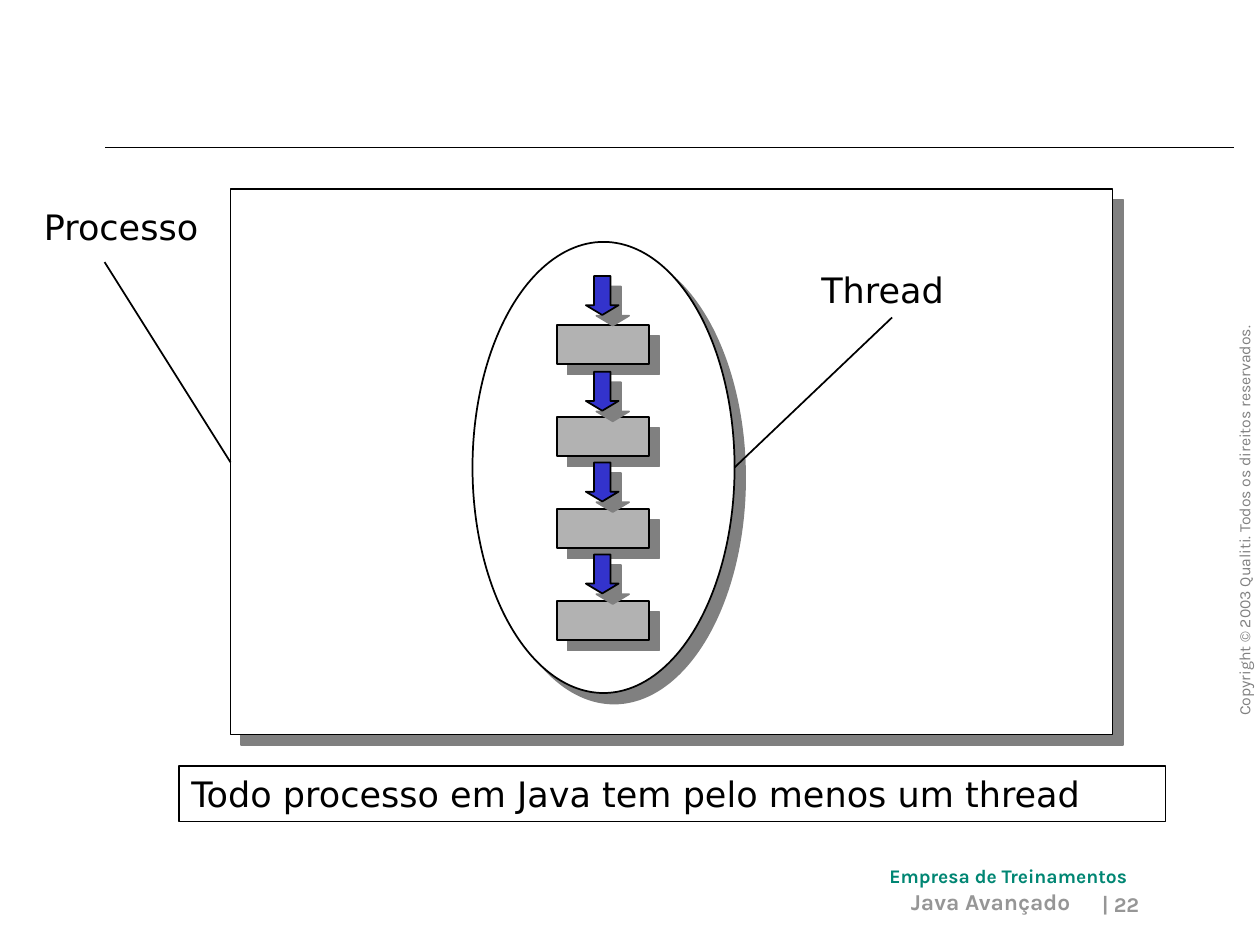
from dataclasses import dataclass

from lxml.etree import SubElement
from pptx import Presentation
from pptx.dml.color import RGBColor
from pptx.enum.shapes import MSO_CONNECTOR, MSO_SHAPE
from pptx.enum.text import MSO_ANCHOR, PP_ALIGN
from pptx.oxml.ns import qn
from pptx.util import Inches, Pt

COLUMNS, ROWS = 120, 90
BLOCK_COUNT = 4
BLOCK_LEFT, BLOCK_TOP, BLOCK_PITCH = 53, 31, 8.75
BLOCK_WIDTH, STEP_HEIGHT = 8.75, 3.75
ARROW_LEFT, ARROW_WIDTH = 55.8, 3.1
FIRST_ARROW_TOP, NEXT_ARROW_TOP = 26.3, 35.35


@dataclass(frozen=True)
class Theme:
    body_font: str = "DejaVu Sans"
    footer_font: str = "Karla"
    ink: str = "000000"
    paper: str = "FFFFFF"
    block: str = "B2B2B2"
    arrow: str = "3333CC"
    shadow: str = "808080"
    brand: str = "008673"
    footer: str = "969696"
    body_size: float = 20
    course_size: float = 13
    number_size: float = 12
    brand_size: float = 11
    copyright_size: float = 9
    line_width: float = 1
    rule_width: float = 0.75


THEME = Theme()


def grid(*cells):
    """Turn counts of grid cells (a twelfth of an inch) into lengths."""
    return [Inches(round(cell * 10 / COLUMNS, 2)) for cell in cells]


def add_shadow(shape):
    effects = SubElement(shape._element.spPr, qn("a:effectLst"))
    shadow = SubElement(effects, qn("a:outerShdw"), dist=str(Pt(8.5)),
                        dir="2700000", algn="ctr", rotWithShape="0")
    SubElement(shadow, qn("a:srgbClr"), val=THEME.shadow)


def add_figure(slide, kind, box, fill, shadowed=True):
    shape = slide.shapes.add_shape(kind, *grid(*box))
    shape.fill.solid()
    shape.fill.fore_color.rgb = RGBColor.from_string(fill)
    shape.line.color.rgb = RGBColor.from_string(THEME.ink)
    shape.line.width = Pt(THEME.line_width)
    if shadowed:
        add_shadow(shape)
    else:
        shape.shadow.inherit = False
    return shape


def add_line(slide, start, end, width=THEME.line_width):
    line = slide.shapes.add_connector(MSO_CONNECTOR.STRAIGHT, *grid(*start, *end))
    line.line.color.rgb = RGBColor.from_string(THEME.ink)
    line.line.width = Pt(width)
    SubElement(line._element.spPr, qn("a:effectLst"))


def write(shape, text, font=THEME.body_font, size=THEME.body_size,
          color=THEME.ink, bold=False, align=PP_ALIGN.LEFT, wrap=True):
    frame = shape.text_frame
    frame.text = text
    frame.word_wrap = wrap
    frame.vertical_anchor = MSO_ANCHOR.TOP
    paragraph = frame.paragraphs[0]
    paragraph.alignment = align
    paragraph.font.name = font
    paragraph.font.size = Pt(size)
    paragraph.font.bold = bold
    paragraph.font.color.rgb = RGBColor.from_string(color)


def add_text(slide, text, box, **style):
    shape = slide.shapes.add_textbox(*grid(*box))
    write(shape, text, **style)
    return shape


def add_frame(slide):
    """Add the header rule, the copyright line and the footer."""
    add_line(slide, (117.5, 14), (10, 14), THEME.rule_width)
    notice = add_text(slide, "Copyright © 2003 Qualiti. Todos os direitos reservados.",
                      (97.9, 47.3, 41.2, 3), font=THEME.footer_font,
                      size=THEME.copyright_size, color=THEME.shadow, wrap=False)
    notice.rotation = 270
    add_text(slide, "Empresa de Treinamentos", (83.5, 81.7, 26.9, 3.5),
             font=THEME.footer_font, size=THEME.brand_size,
             color=THEME.brand, bold=True, wrap=False)
    for text, box, size in (
            ("| 22", (51.7, 84.3, 58, 4), THEME.number_size),
            ("Java Avançado", (32, 84, 71, 4), THEME.course_size)):
        add_text(slide, text, box, font=THEME.footer_font, size=size,
                 color=THEME.footer, bold=True, align=PP_ALIGN.RIGHT)


def add_thread(slide):
    """Add the thread's ellipse with its column of blocks and arrows."""
    add_figure(slide, MSO_SHAPE.OVAL, (45, 23, 25, 43), THEME.paper)
    for index in range(BLOCK_COUNT):
        top = BLOCK_TOP + index * BLOCK_PITCH
        add_figure(slide, MSO_SHAPE.RECTANGLE,
                   (BLOCK_LEFT, top, BLOCK_WIDTH, STEP_HEIGHT), THEME.block)
    arrow_tops = [NEXT_ARROW_TOP + index * BLOCK_PITCH for index in range(BLOCK_COUNT - 1)]
    for top in arrow_tops + [FIRST_ARROW_TOP]:
        arrow = add_figure(slide, MSO_SHAPE.DOWN_ARROW,
                           (ARROW_LEFT, top, ARROW_WIDTH, STEP_HEIGHT), THEME.arrow)
        arrow.adjustments[0] = 0.5
        arrow.adjustments[1] = 0.3


def main():
    presentation = Presentation()
    presentation.slide_width, presentation.slide_height = grid(COLUMNS, ROWS)
    slide = presentation.slides.add_slide(presentation.slide_layouts[6])
    add_frame(slide)
    add_figure(slide, MSO_SHAPE.RECTANGLE, (22, 18, 84, 52), THEME.paper)
    add_thread(slide)
    add_text(slide, "Processo", (3, 19, 22, 5.3))
    add_text(slide, "Thread", (77, 25, 16, 5.3))
    add_line(slide, (85, 30.2), (70, 44.5))
    add_line(slide, (10, 25), (22, 44))
    note = add_figure(slide, MSO_SHAPE.RECTANGLE, (17, 73, 94, 5.3),
                      THEME.paper, shadowed=False)
    write(note, "Todo processo em Java tem pelo menos um thread")
    presentation.save("out.pptx")


if __name__ == "__main__":
    main()
